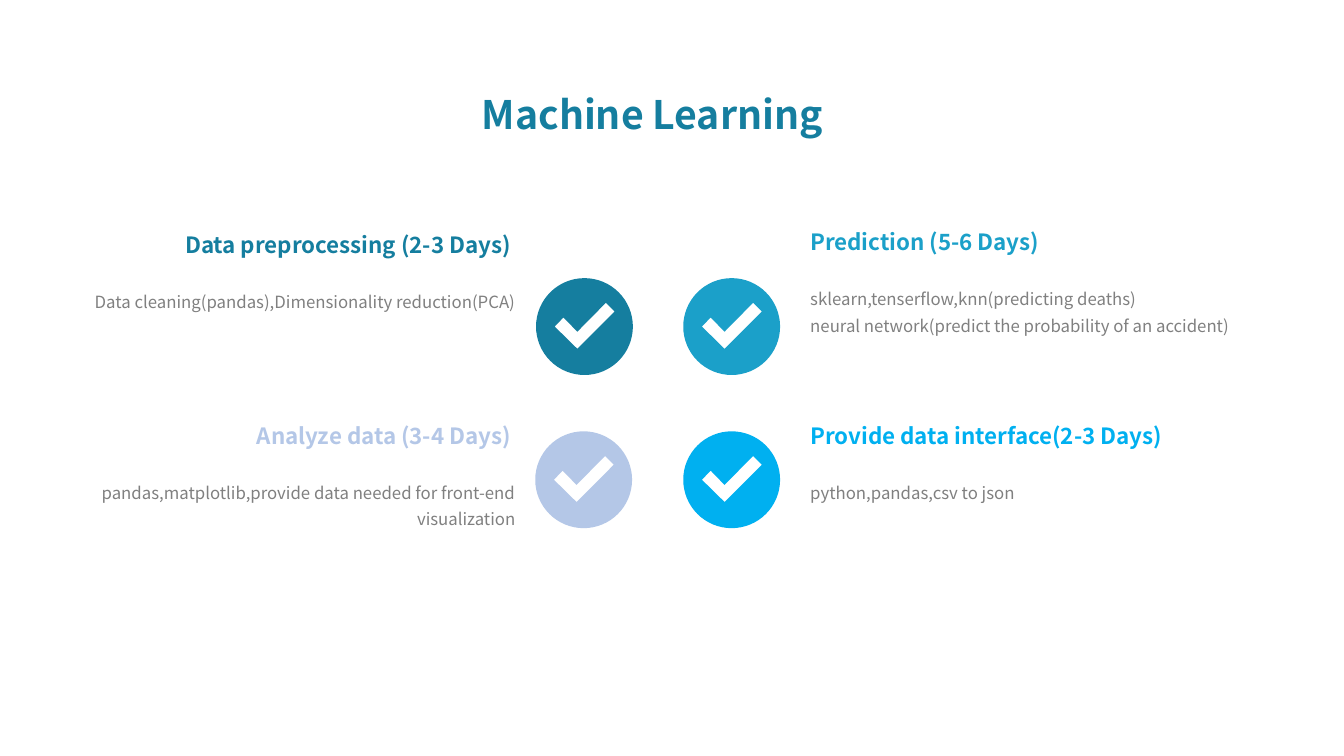
"""Build the Machine Learning slide: four timed stages around a grid of ticks."""
import math
from dataclasses import dataclass

from pptx import Presentation
from pptx.dml.color import RGBColor
from pptx.enum import text as t
from pptx.util import Cm, Pt


@dataclass(frozen=True)
class Theme:
    font: str = "Noto Sans CJK SC"
    teal: str = "157E9F"
    blue: str = "1BA0C9"
    lavender: str = "B4C7E7"
    sky: str = "00B0F0"
    grey: str = "808080"
    title_size: int = 28
    heading_size: int = 16
    detail_size: int = 12


@dataclass(frozen=True)
class Stage:
    heading: str
    detail: str
    colour: str
    on_left: bool
    top: float
    heading_width: float
    detail_height: float
    tick_x: float
    tick_y: float


THEME = Theme()
LEFT_EDGE, RIGHT_EDGE, DETAIL_WIDTH = 1.68, 20.17, 11.56
HEADING_RIGHT, HEADING_HEIGHT, DETAIL_DROP = 13.13, 0.94, 1.38
RADIUS, CIRCLE_STEPS = 1.22, 64
TICK = [(-0.18, 0.56), (-0.75, 0), (-0.53, -0.23), (-0.18, 0.13), (0.54, -0.6), (0.76, -0.38)]
STAGES = [
    Stage("Data preprocessing (2-3 Days)", "Data cleaning(pandas),Dimensionality reduction(PCA)",
          THEME.teal, True, 5.7, 10.75, 0.91, 14.73, 8.23),
    Stage("Prediction (5-6 Days)",
          "sklearn,tenserflow,knn(predicting deaths)\n"
          "neural network(predict the probability of an accident)",
          THEME.blue, False, 5.63, 8.74, 1.57, 18.44, 8.23),
    Stage("Analyze data (3-4 Days)",
          "pandas,matplotlib,provide data needed for front-end visualization",
          THEME.lavender, True, 10.51, 8.74, 1.57, 14.71, 12.09),
    Stage("Provide data interface(2-3 Days)", "python,pandas,csv to json",
          THEME.sky, False, 10.51, 10.29, 0.91, 18.44, 12.09),
]


def write(box, words: str, size: int, colour: str, bold: bool = False,
          on_right: bool = False, spacing: float = 1.0) -> None:
    frame = box.text_frame
    frame.text = words
    frame_format = {"word_wrap": True, "auto_size": t.MSO_AUTO_SIZE.SHAPE_TO_FIT_TEXT,
                    "vertical_anchor": t.MSO_ANCHOR.TOP}
    line_format = {"alignment": t.PP_ALIGN.RIGHT if on_right else t.PP_ALIGN.LEFT,
                   "line_spacing": spacing}
    font_format = {"name": THEME.font, "size": Pt(size), "bold": bold}
    targets = [(frame, frame_format)]
    for line in frame.paragraphs:
        targets.append((line, line_format))
        for run in line.runs:
            targets.append((run.font, font_format))
            run.font.color.rgb = RGBColor.from_string(colour)
    for target, values in targets:
        for key, value in values.items():
            setattr(target, key, value)


def draw_tick(slide, stage: Stage) -> None:
    def place(x: float, y: float) -> tuple[int, int]:
        return Cm(stage.tick_x + x), Cm(stage.tick_y + y)

    angles = [-math.tau * step / CIRCLE_STEPS for step in range(CIRCLE_STEPS)]
    rim = [place(RADIUS * math.cos(angle), RADIUS * math.sin(angle)) for angle in angles]
    check = [place(x, y) for x, y in TICK]
    outline = slide.shapes.build_freeform(*rim[0])
    outline.add_line_segments(rim[1:], close=True)
    outline.move_to(*check[0])
    outline.add_line_segments(check[1:], close=True)
    badge = outline.convert_to_shape()
    badge.shadow.inherit = False
    badge.fill.solid()
    badge.fill.fore_color.rgb = RGBColor.from_string(stage.colour)
    badge.line.fill.background()


def draw_stage(slide, stage: Stage) -> None:
    draw_tick(slide, stage)
    heading_left = HEADING_RIGHT - stage.heading_width if stage.on_left else RIGHT_EDGE
    heading = slide.shapes.add_textbox(Cm(heading_left), Cm(stage.top),
                                       Cm(stage.heading_width), Cm(HEADING_HEIGHT))
    write(heading, stage.heading, THEME.heading_size, stage.colour, True, stage.on_left)
    detail_left = LEFT_EDGE if stage.on_left else RIGHT_EDGE
    detail = slide.shapes.add_textbox(Cm(detail_left), Cm(stage.top + DETAIL_DROP),
                                      Cm(DETAIL_WIDTH), Cm(stage.detail_height))
    write(detail, stage.detail, THEME.detail_size, THEME.grey,
          on_right=stage.on_left, spacing=1.3)


def main() -> None:
    deck = Presentation()
    deck.slide_width, deck.slide_height = Cm(33.87), Cm(19.05)
    slide = deck.slides.add_slide(deck.slide_layouts[5])
    title = slide.shapes.title
    place = {"left": Cm(11.89), "top": Cm(2.16), "width": Cm(10.57), "height": Cm(1.45)}
    for key, value in place.items():
        setattr(title, key, value)
    write(title, "Machine Learning", THEME.title_size, THEME.teal, bold=True)
    for stage in STAGES:
        draw_stage(slide, stage)
    deck.save("out.pptx")


if __name__ == "__main__":
    main()
